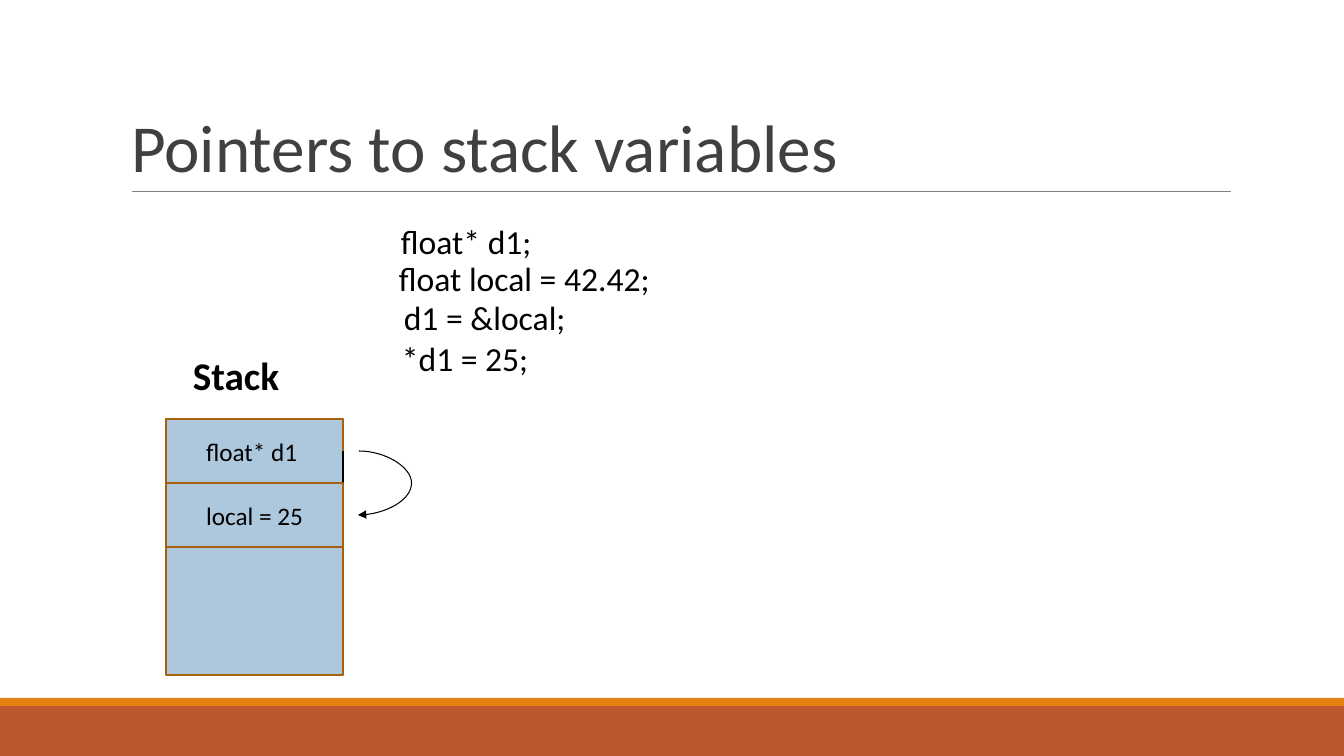
from lxml.etree import SubElement
from pptx import Presentation
from pptx.dml.color import RGBColor
from pptx.enum.shapes import MSO_CONNECTOR, MSO_SHAPE
from pptx.enum.text import MSO_ANCHOR, MSO_AUTO_SIZE, PP_ALIGN
from pptx.oxml.ns import qn
from pptx.util import Emu, Pt

PX = 914400 / 100.8
BLACK = RGBColor(0x00, 0x00, 0x00)
TITLE_GRAY = RGBColor(0x40, 0x40, 0x40)
RULE_GRAY = RGBColor(0x80, 0x80, 0x80)
RUST = RGBColor(0xBD, 0x58, 0x2C)
ORANGE = RGBColor(0xE4, 0x83, 0x12)
CELL_BLUE = RGBColor(0xAD, 0xC8, 0xDD)
CELL_BORDER = RGBColor(0xA8, 0x60, 0x0D)

# Content
TITLE = "Pointers to stack variables"
STACK_LABEL = "Stack"
STACK_CELLS = ["float* d1 ", "local = 25"]
CODE_LINES = [  # text, left, top, width
    ("float* d1;", 391, 216, 226),
    ("float local = 42.42;", 389, 253, 425),
    ("d1 = &local;", 394, 292, 265),
    ("*d1 = 25;", 392, 333, 206),
]
FOOTER_BANDS = [(706, 50, RUST), (698, 8, ORANGE)]  # top, height, colour

# Layout
SLIDE_WIDTH, SLIDE_HEIGHT = 1344, 756
STACK_LEFT, STACK_TOP, STACK_WIDTH, STACK_HEIGHT = 166, 419, 177, 256
CELL_HEIGHT = 64
STACK_RIGHT = STACK_LEFT + STACK_WIDTH
POINTER_TOP = STACK_TOP + CELL_HEIGHT // 2
POINTER_BOTTOM = POINTER_TOP + CELL_HEIGHT
POINTER_LEFT = STACK_RIGHT + 15
POINTER_BULGE = 53


def px(*lengths):
    return [Emu(round(length * PX)) for length in lengths]


def write(frame, text, size, color=BLACK, bold=False):
    frame.word_wrap = True
    frame.auto_size = MSO_AUTO_SIZE.NONE
    run = frame.paragraphs[0].add_run()
    run.text = text
    run.font.name = "Calibri"
    run.font.size = Pt(size)
    run.font.bold = bold
    run.font.color.rgb = color


def add_label(box, text, size, bold=False):
    label = slide.shapes.add_textbox(*px(*box))
    write(label.text_frame, text, size, bold=bold)


def add_box(box, fill, border=None):
    rect = slide.shapes.add_shape(MSO_SHAPE.RECTANGLE, *px(*box))
    rect.shadow.inherit = False
    rect.fill.solid()
    rect.fill.fore_color.rgb = fill
    if border is None:
        rect.line.fill.background()
    else:
        rect.line.color.rgb = border
        rect.line.width = Pt(1.25)
    return rect


def add_cell(index):
    top = STACK_TOP + index * CELL_HEIGHT
    cell = add_box((STACK_LEFT, top, STACK_WIDTH, CELL_HEIGHT), CELL_BLUE, CELL_BORDER)
    cell.text_frame.vertical_anchor = MSO_ANCHOR.MIDDLE
    cell.text_frame.paragraphs[0].alignment = PP_ALIGN.CENTER
    write(cell.text_frame, STACK_CELLS[index], 18)


def add_line(kind, ends, color, width):
    line = slide.shapes.add_connector(kind, *px(*ends))
    line.line.color.rgb = color
    line.line.width = Pt(width)
    SubElement(line._element.spPr, qn("a:effectLst"))
    return line


presentation = Presentation()
presentation.slide_width, presentation.slide_height = px(SLIDE_WIDTH, SLIDE_HEIGHT)
slide = presentation.slides.add_slide(presentation.slide_layouts[5])

# Footer bands and title rule
for top, height, color in FOOTER_BANDS:
    add_box((0, top, SLIDE_WIDTH, height), color)
add_line(MSO_CONNECTOR.STRAIGHT, (132, 191, 1231, 191), RULE_GRAY, 0.5)

# Title
title = slide.shapes.title
title.left, title.top, title.width, title.height = px(121, 31, 1109, 160)
title.text_frame.vertical_anchor = MSO_ANCHOR.BOTTOM
title.text_frame.paragraphs[0].alignment = PP_ALIGN.LEFT
write(title.text_frame, TITLE, 48, TITLE_GRAY)

# Stack with its first variable
add_box((STACK_LEFT, STACK_TOP, STACK_WIDTH, STACK_HEIGHT), CELL_BLUE, CELL_BORDER)
add_label((183, 346, 142, 56), STACK_LABEL, 28, bold=True)
add_cell(0)

# Code
for text, left, top, width in CODE_LINES:
    add_label((left, top, width, 64), text, 24)

# Edge mark beside the pointer, partly covered by the second variable
add_line(MSO_CONNECTOR.STRAIGHT,
         (STACK_RIGHT, POINTER_TOP, STACK_RIGHT, POINTER_BOTTOM), BLACK, 1)
add_cell(1)

# Curved pointer from d1 to local: one pixel wide, so the bulge is its multiple
pointer = add_line(MSO_CONNECTOR.CURVE,
                   (POINTER_LEFT + 1, POINTER_TOP, POINTER_LEFT, POINTER_BOTTOM),
                   BLACK, 0.75)
adjustments = pointer._element.spPr.prstGeom.get_or_add_avLst()
SubElement(adjustments, qn("a:gd"), name="adj1", fmla=f"val {-POINTER_BULGE * 100000}")
SubElement(pointer.line._get_or_add_ln(), qn("a:tailEnd"), type="triangle")

presentation.save("out.pptx")
